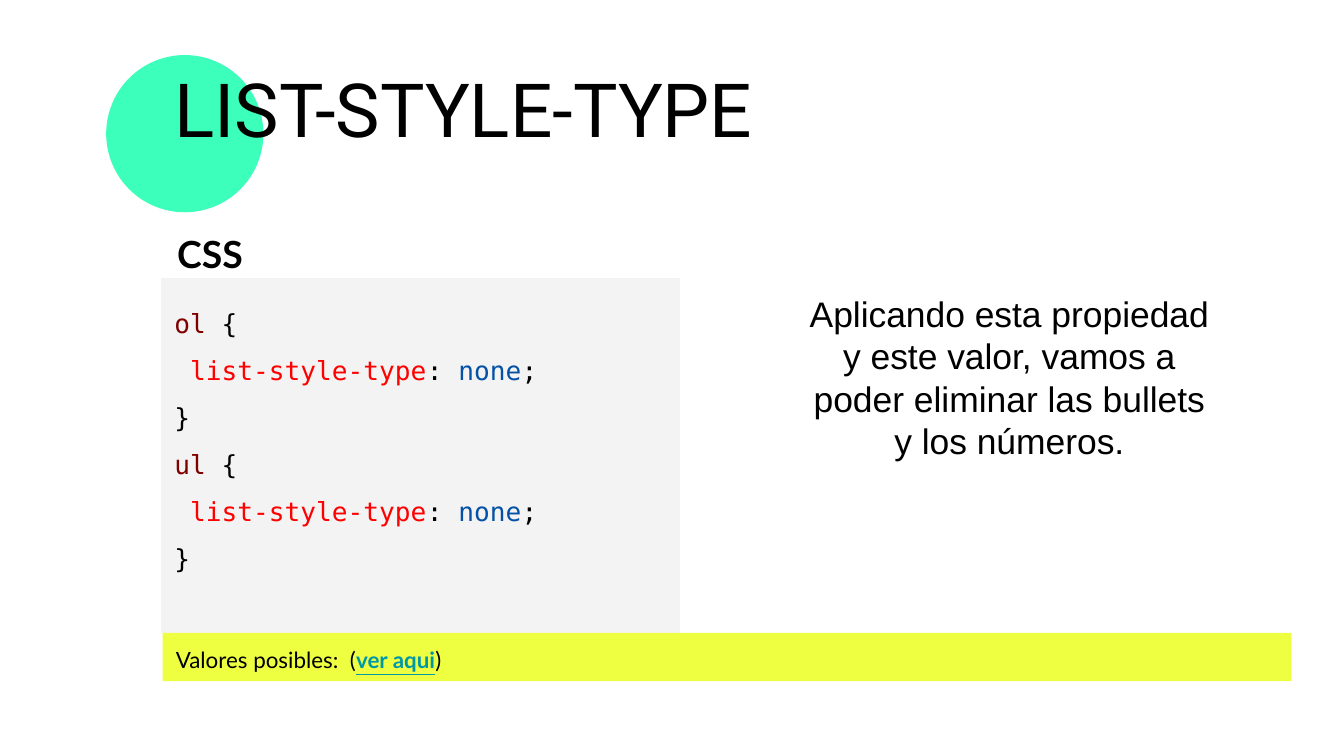
from pptx import Presentation
from pptx.dml.color import RGBColor
from pptx.enum.shapes import MSO_SHAPE as Shape
from pptx.enum.text import MSO_ANCHOR as Anchor, PP_ALIGN as Align
from pptx.util import Inches, Pt

BLACK = RGBColor(0x00, 0x00, 0x00)
MINT = RGBColor(0x3D, 0xFF, 0xBC)
YELLOW = RGBColor(0xEE, 0xFF, 0x41)
PANEL_GREY = RGBColor(0xF3, 0xF3, 0xF3)
SELECTOR = RGBColor(0x80, 0x00, 0x00)
PROPERTY = RGBColor(0xFF, 0x00, 0x00)
VALUE = RGBColor(0x04, 0x51, 0xA5)
LINK = RGBColor(0x00, 0x97, 0xA7)

TITLE_FONT = {"name": "Roboto", "size": Pt(40)}
HEADING_FONT = {"name": "Lato", "size": Pt(20), "bold": True}
CODE_FONT = {"name": "DejaVu Sans Mono", "size": Pt(14)}
BODY_FONT = {"name": "Arial", "size": Pt(19)}
NOTE_FONT = {"name": "Lato", "size": Pt(12)}
LINK_FORMAT = {"bold": True, "underline": True}


def add_panel(slide, kind, box, color):
    panel = slide.shapes.add_shape(kind, *map(Inches, box))
    panel.shadow.inherit = False
    panel.fill.solid()
    panel.fill.fore_color.rgb = color
    panel.line.fill.background()
    return panel


def add_textbox(slide, box):
    return slide.shapes.add_textbox(*map(Inches, box))


def write_text(shape, lines, font, **paragraph_format):
    """Fill a shape with lines, each a list of (text, color, extra font format)."""
    frame = shape.text_frame
    frame.word_wrap = True
    frame.vertical_anchor = Anchor.TOP
    for side in ("left", "top", "right", "bottom"):
        setattr(frame, f"margin_{side}", Inches(0.1))
    for index, line in enumerate(lines):
        paragraph = frame.add_paragraph() if index else frame.paragraphs[0]
        for name, value in ({"alignment": Align.LEFT} | paragraph_format).items():
            setattr(paragraph, name, value)
        for text, color, *extra in line:
            run = paragraph.add_run()
            run.text = text
            run.font.color.rgb = color
            for name, value in (font | (extra[0] if extra else {})).items():
                setattr(run.font, name, value)


def add_title(slide, left, top, text):
    add_panel(slide, Shape.OVAL, (left, top + 0.14, 1.17, 1.17), MINT)
    title = add_textbox(slide, (left + 0.41, top, 6.82, 1.3))
    write_text(title, [[(text, BLACK)]], TITLE_FONT, line_spacing=1.15)


def css_rule(selector, name, value):
    return [
        [(selector, SELECTOR), (" {", BLACK)],
        [(" ", BLACK), (name, PROPERTY), (": ", BLACK), (value, VALUE), (";", BLACK)],
        [("}", BLACK)],
    ]


def add_code(slide, left, top, width, height, selectors):
    panel = add_panel(slide, Shape.RECTANGLE, (left, top, width, height), PANEL_GREY)
    lines = [line for selector in selectors
             for line in css_rule(selector, "list-style-type", "none")]
    write_text(panel, lines, CODE_FONT, line_spacing=1.5)
    heading = add_textbox(slide, (left + 0.02, top - 0.45, 1.24, 0.49))
    write_text(heading, [[("CSS", BLACK)]], HEADING_FONT)


def add_values_bar(slide, box):
    bar = add_panel(slide, Shape.RECTANGLE, box, YELLOW)
    line = [("Valores posibles:  (", BLACK), ("ver aqui", LINK, LINK_FORMAT), (")", BLACK)]
    write_text(bar, [line], NOTE_FONT)


def add_explanation(slide, box):
    text = ("Aplicando esta propiedad y este valor, vamos a poder "
            "eliminar las bullets y los números.")
    write_text(add_textbox(slide, box), [[(text, BLACK)]], BODY_FONT,
               alignment=Align.CENTER)


def main():
    presentation = Presentation()
    presentation.slide_width = Inches(10)
    presentation.slide_height = Inches(10) * 9 // 16
    slide = presentation.slides.add_slide(presentation.slide_layouts[6])
    add_title(slide, 0.79, 0.27, "LIST-STYLE-TYPE")
    add_code(slide, 1.2, 2.07, 3.86, 2.64, ("ol", "ul"))
    add_values_bar(slide, (1.21, 4.71, 8.4, 0.36))
    add_explanation(slide, (5.87, 2.07, 3.28, 1.48))
    presentation.save("out.pptx")


if __name__ == "__main__":
    main()
